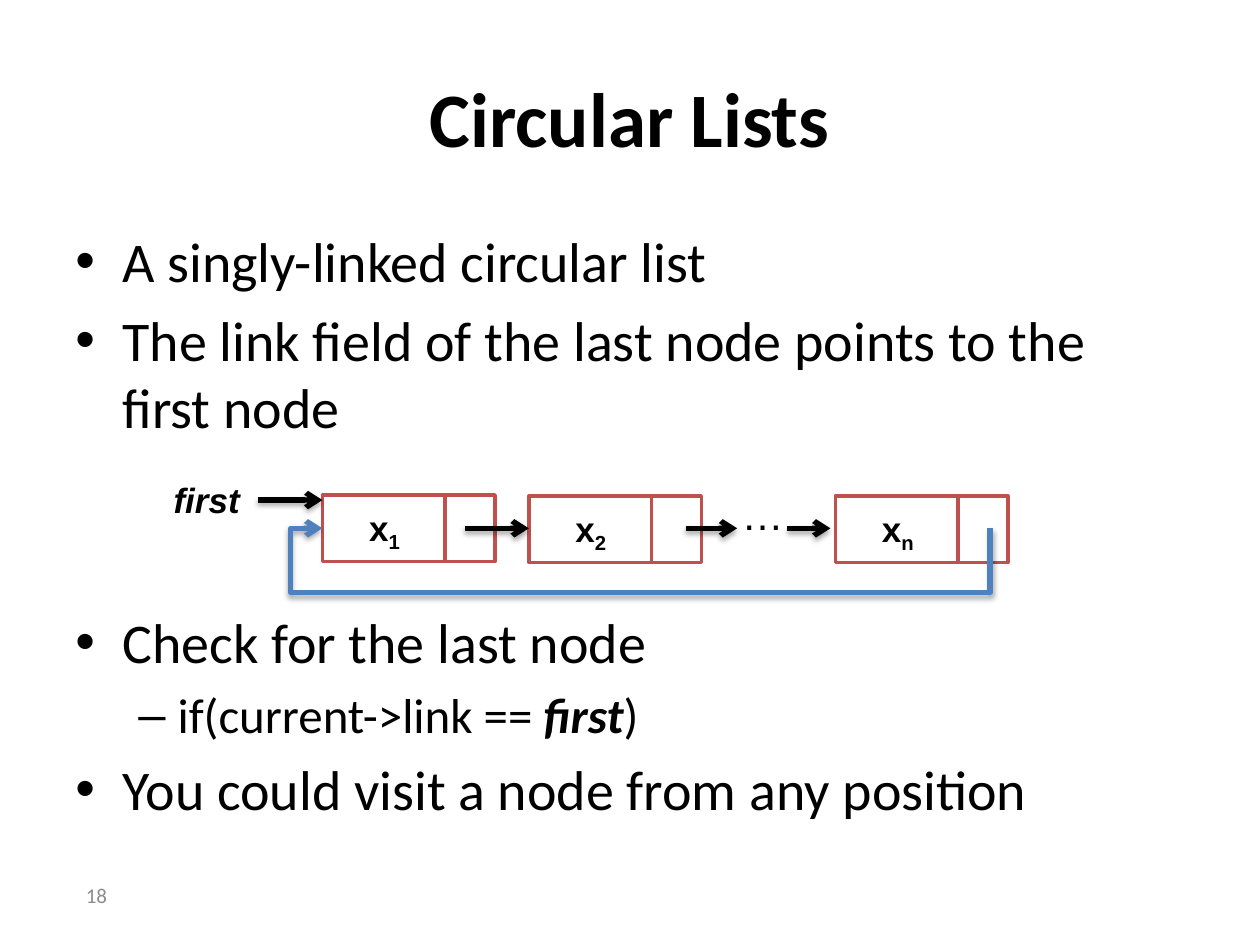
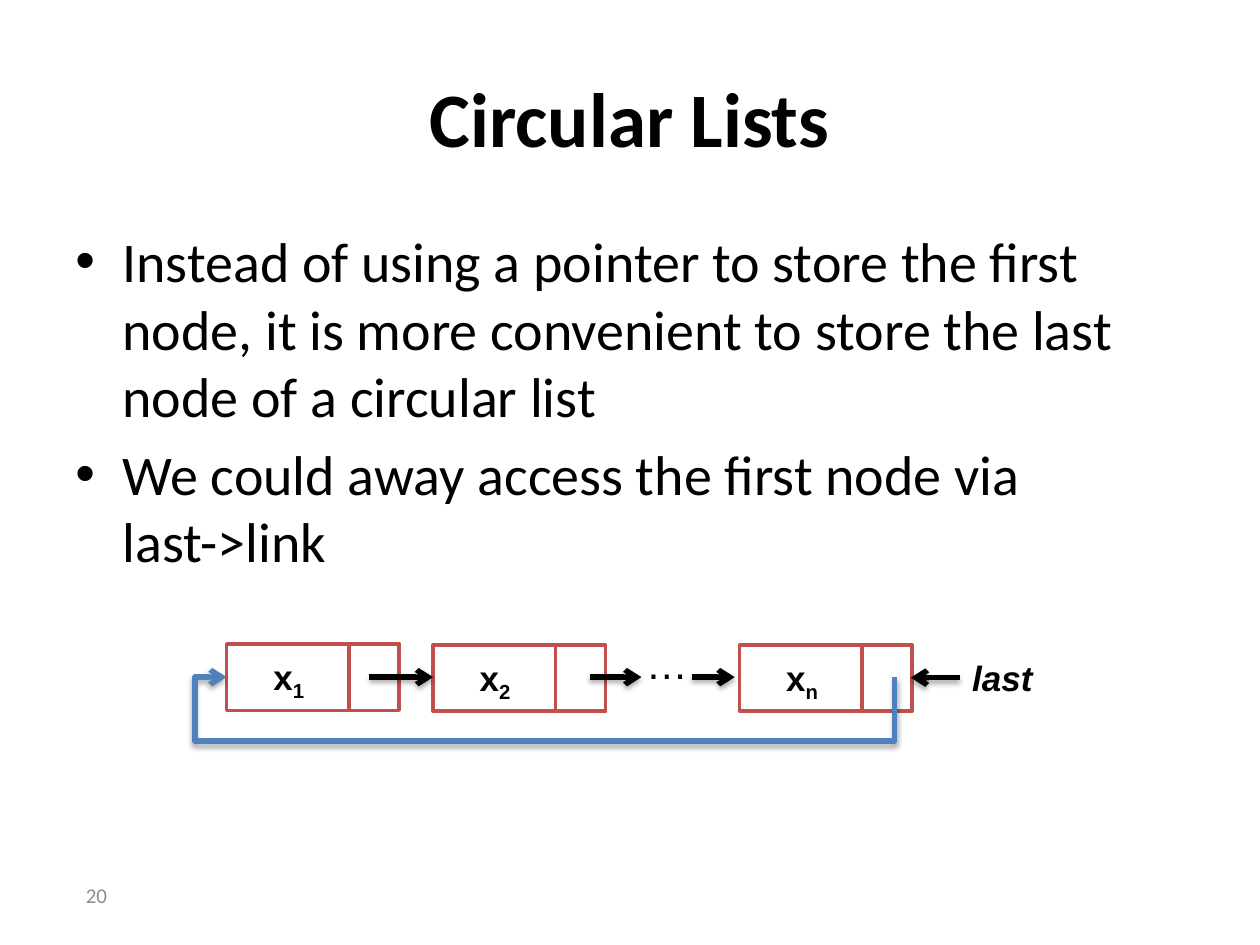
"""Build two slides on circular linked lists."""
import pptx
import pptx.util
import pptx.dml.color
import pptx.enum.shapes
import pptx.enum.text
import pptx.oxml
import pptx.oxml.ns

Cm = pptx.util.Cm
Pt = pptx.util.Pt
ALIGN = pptx.enum.text.PP_ALIGN
ANCHOR = pptx.enum.text.MSO_ANCHOR
HUES = {"ink": "000000", "paper": "FFFFFF", "node": "C0504D",
        "loop": "4F81BD", "page": "8C8C8C"}
NS = pptx.oxml.ns.nsdecls("a")
SHADE = (f'<a:effectLst {NS}><a:outerShdw blurRad="{Pt(3.1)}" dist="{Pt(1.8)}" '
         'dir="5400000" rotWithShape="0"><a:srgbClr val="000000">'
         '<a:alpha val="35000"/></a:srgbClr></a:outerShdw></a:effectLst>')
LEVELS = [("•", 0.95, 0.95, 32), ("–", 2.06, 0.79, 28)]


def paint(hue):
    return pptx.dml.color.RGBColor.from_string(HUES[hue])


def write(para, text, size=20, font="Arial", hue="ink", bold=False,
          italic=False, base=0):
    for num, part in enumerate(text.split("\n")):
        if num:
            para.add_line_break()
        run = para.add_run()
        run.text = part
        run.font.size = Pt(size)
        run.font.name = font
        run.font.bold = bold
        run.font.italic = italic
        run.font.color.rgb = paint(hue)
        if base:
            run.font._element.set("baseline", str(base * 1000))


class Deck:
    def __init__(self):
        self.prs = pptx.Presentation()
        self.prs.slide_width = Cm(25.4)
        self.prs.slide_height = Cm(19.05)
        self.slide = None

    def start(self, title, page):
        self.slide = self.prs.slides.add_slide(self.prs.slide_layouts[5])
        head = self.slide.shapes.title
        head.left, head.top, head.width, head.height = map(
            Cm, (1.27, 0.76, 22.86, 3.18))
        head.text_frame.vertical_anchor = ANCHOR.MIDDLE
        para = head.text_frame.paragraphs[0]
        para.alignment = ALIGN.CENTER
        write(para, title, size=44, font="Calibri", bold=True)
        foot = self.box(1.27, 17.53, 1.14, 1.02)
        foot.vertical_anchor = ANCHOR.MIDDLE
        foot.paragraphs[0].alignment = ALIGN.RIGHT
        write(foot.paragraphs[0], page, size=12, font="Calibri", hue="page")

    def box(self, x, y, wide, high, wrap=False):
        frame = self.slide.shapes.add_textbox(
            Cm(x), Cm(y), Cm(wide), Cm(high)).text_frame
        frame.word_wrap = wrap
        return frame

    def label(self, x, y, wide, text, sub="", high=1.12, **style):
        para = self.box(x, y, wide, high).paragraphs[0]
        write(para, text, **style)
        if sub:
            write(para, sub, base=-25, **style)

    def body(self, items):
        frame = self.box(1.27, 4.45, 22.86, 12.57, wrap=True)
        for num, (level, gap, runs) in enumerate(items):
            para = frame.add_paragraph() if num else frame.paragraphs[0]
            mark, left, hang, size = LEVELS[level]
            props = para._p.get_or_add_pPr()
            props.set("marL", str(Cm(left)))
            props.set("indent", str(-Cm(hang)))
            for xml in (f'<a:buFont {NS} typeface="Arial"/>',
                        f'<a:buChar {NS} char="{mark}"/>'):
                props.append(pptx.oxml.parse_xml(xml))
            if num:
                para.space_before = Pt(gap)
            for text, strong in runs:
                write(para, text, size=size, font="Calibri",
                      bold=strong, italic=strong)

    def line(self, start, end, hue="ink", width=3, arrow=True):
        wire = self.slide.shapes.add_connector(
            pptx.enum.shapes.MSO_CONNECTOR.STRAIGHT,
            *map(Cm, (*start, *end)))
        self.stroke(wire, hue, width)
        if arrow:
            self.tip(wire)
        else:
            wire._element.spPr.append(
                pptx.oxml.parse_xml(f"<a:effectLst {NS}/>"))

    def stroke(self, shape, hue, width):
        shape.line.color.rgb = paint(hue)
        shape.line.width = Pt(width)

    def tip(self, shape):
        shape.line._get_or_add_ln().append(
            pptx.oxml.parse_xml(f'<a:tailEnd {NS} type="arrow"/>'))
        shape._element.spPr.append(pptx.oxml.parse_xml(SHADE))

    def loop(self, points):
        spots = [(Cm(x), Cm(y)) for x, y in points]
        maker = self.slide.shapes.build_freeform(*spots[0])
        maker.add_line_segments(spots[1:], close=False)
        shape = maker.convert_to_shape()
        shape.fill.background()
        self.stroke(shape, "loop", 3)
        self.tip(shape)

    def node(self, x, y, sub):
        rect = self.slide.shapes.add_shape(
            pptx.enum.shapes.MSO_SHAPE.RECTANGLE,
            Cm(x), Cm(y), Cm(3.48), Cm(1.34))
        rect.shadow.inherit = False
        rect.fill.solid()
        rect.fill.fore_color.rgb = paint("paper")
        self.stroke(rect, "node", 2)
        self.line((x + 2.47, y), (x + 2.47, y + 1.34), "node", 2, arrow=False)
        self.label(x + 0.69, y + 0.1, 1.18, "x", sub, bold=True)

    def chain(self, x, y):
        for step, drop, sub in ((0, 0, "1"), (4.16, 0.02, "2"),
                                (10.34, 0.02, "n")):
            self.node(x + step, y + drop, sub)
        self.label(x + 8.2, y - 0.25, 1.37, "…", high=1.27, size=24)
        mid = y + 0.67
        for tail, head in ((2.87, 4.16), (7.32, 8.36), (9.37, 10.24)):
            self.line((x + tail, mid), (x + head, mid))
        right, left, low = x + 13.46, x - 0.64, y + 1.96
        self.loop([(right, mid), (right, low), (left, low),
                   (left, mid), (x, mid)])


def main():
    deck = Deck()
    deck.start("Circular Lists", "18")
    deck.body([
        (0, 0, [("A singly-linked circular list", False)]),
        (0, 6.4, [("The link field of the last node points to the first node",
                   False)]),
        (0, 96, [("Check for the last node", False)]),
        (1, 5.6, [("if(current->link == ", False), ("first", True),
                  (")", False)]),
        (0, 6.4, [("You could visit a node from any position", False)])])
    x, y = 6.5, 9.98
    deck.chain(x, y)
    deck.line((x - 1.3, y + 0.1), (x, y + 0.1))
    deck.label(x - 3.25, y - 0.46, 1.85, "first", bold=True, italic=True)

    deck.start("Circular Lists", "20")
    deck.body([
        (0, 0, [("Instead of using a pointer to store the first node, it is "
                 "more convenient to store the last node of a circular list",
                 False)]),
        (0, 6.4, [("We could away access the first node via \nlast->link",
                   False)])])
    x, y = 4.57, 12.98
    deck.chain(x, y)
    deck.line((x + 14.78, y + 0.68), (x + 13.79, y + 0.68))
    deck.label(x + 14.78, y + 0.13, 1.73, "last", bold=True, italic=True)
    deck.prs.save("out.pptx")


if __name__ == "__main__":
    main()
